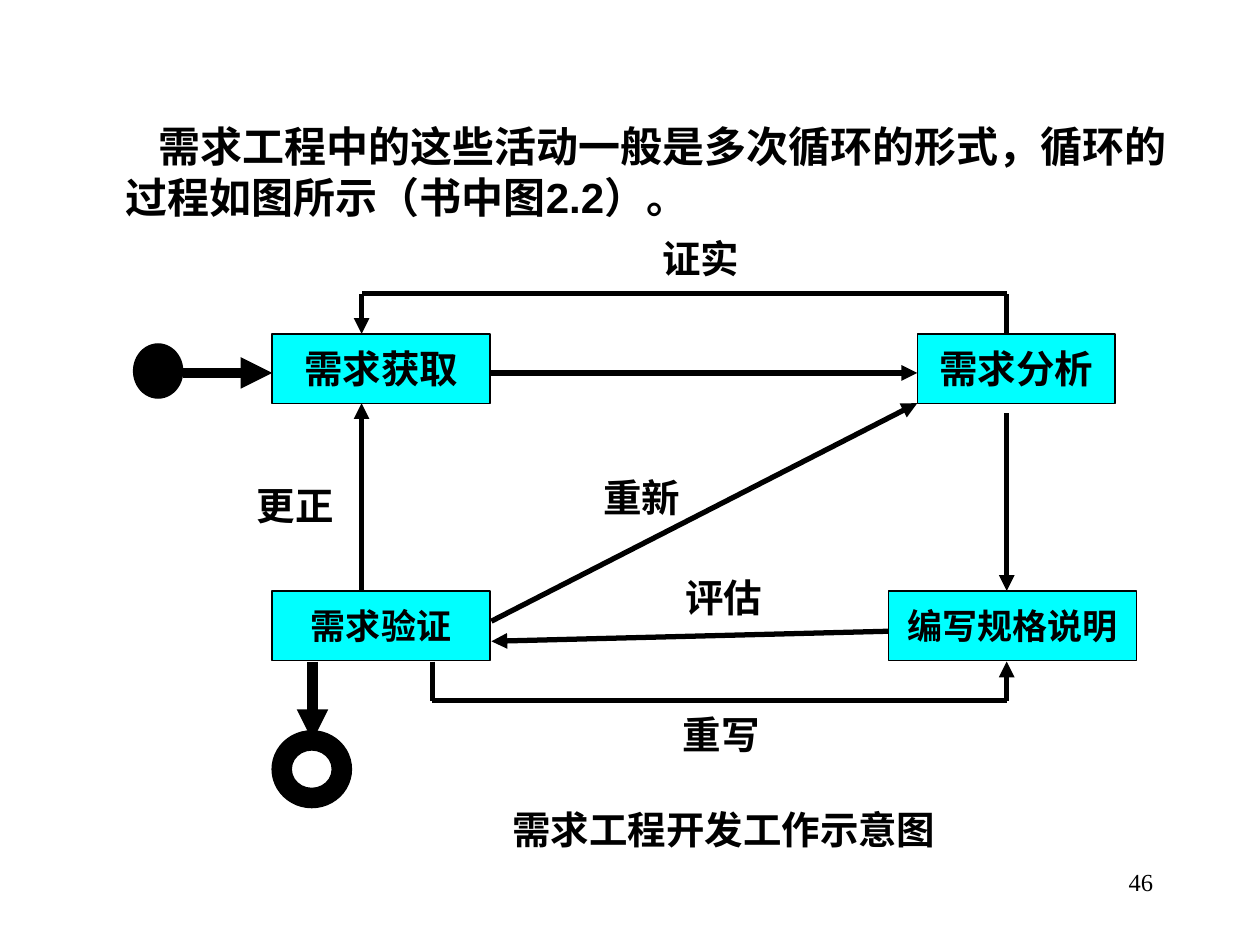
from pptx import Presentation
from pptx.dml.color import RGBColor
from pptx.enum.shapes import MSO_CONNECTOR as Connector, MSO_SHAPE as Shape
from pptx.enum.text import MSO_ANCHOR as Anchor, PP_ALIGN as Align
from pptx.oxml.ns import qn
from pptx.util import Inches, Pt
from lxml.etree import SubElement

BLACK = RGBColor(0x00, 0x00, 0x00)
CYAN = RGBColor(0x00, 0xFF, 0xFF)

# Shared coordinates of the state diagram, in inches
LEFT_X, RIGHT_X = 2.87, 7.99
BOX_LEFT, BOX_RIGHT, ANALYSIS_LEFT = 2.16, 3.9, 7.28
UPPER_TOP, UPPER_MIDDLE, UPPER_BOTTOM = 2.65, 2.96, 3.2
LOWER_TOP, LOWER_BOTTOM = 4.69, 5.25
CONFIRM_Y, REWRITE_Y, REWRITE_X, EXIT_X = 2.33, 5.56, 3.43, 2.48
BOX_HEIGHT, LABEL_HEIGHT = 0.55, 0.47


def write(frame, text, font="Times New Roman", size=22, bold=True,
          align=Align.LEFT, anchor=Anchor.TOP, wrap=False):
    frame.word_wrap = wrap
    frame.vertical_anchor = anchor
    para = frame.paragraphs[0]
    para.alignment = align
    span = para.add_run()
    span.text = text
    span.font.name = font
    span.font.size = Pt(size)
    span.font.bold = bold
    span.font.color.rgb = BLACK
    return para


class Diagram:
    """Holds the page and the line and fill style of its elements."""

    def __init__(self, page, ink=BLACK, fill=CYAN, outline=0.75):
        self.page = page
        self.ink = ink
        self.fill = fill
        self.outline = outline

    def shape(self, kind, left, top, width, height, fill):
        item = self.page.shapes.add_shape(
            kind, Inches(left), Inches(top), Inches(width), Inches(height))
        item.shadow.inherit = False
        item.fill.solid()
        item.fill.fore_color.rgb = fill
        item.line.color.rgb = self.ink
        item.line.width = Pt(self.outline)
        return item

    def activity(self, text, left, top, width, size):
        box = self.shape(Shape.RECTANGLE, left, top, width, BOX_HEIGHT, self.fill)
        write(box.text_frame, text, size=size, align=Align.CENTER, anchor=Anchor.MIDDLE)

    def text(self, text, left, top, width=0.81, height=LABEL_HEIGHT, **style):
        box = self.page.shapes.add_textbox(
            Inches(left), Inches(top), Inches(width), Inches(height))
        return write(box.text_frame, text, **style)

    def line(self, start, end, width=3, arrow=True):
        link = self.page.shapes.add_connector(
            Connector.STRAIGHT, *(Inches(value) for value in (*start, *end)))
        link.line.color.rgb = self.ink
        link.line.width = Pt(width)
        properties = link.element.spPr
        if arrow:
            SubElement(properties.find(qn("a:ln")), qn("a:tailEnd"), type="triangle")
        SubElement(properties, qn("a:effectLst"))

    def route(self, *points, arrow=True):
        """Join the points with straight lines; only the last may have an arrowhead."""
        last = len(points) - 2
        for index, (start, end) in enumerate(zip(points, points[1:])):
            self.line(start, end, arrow=arrow and index == last)


def main():
    deck = Presentation()
    deck.slide_width, deck.slide_height = Inches(10), Inches(7.5)
    diagram = Diagram(deck.slides.add_slide(deck.slide_layouts[6]))

    diagram.text("46", 7.17, 6.83, 2.08, 0.5, size=14, bold=False,
                 align=Align.RIGHT, wrap=True)
    intro = diagram.text(
        "需求工程中的这些活动一般是多次循环的形式，循环的过程如图所示（书中图2.2）。",
        0.52, 0.91, 8.98, 1.1, font="Arial", size=24, wrap=True)
    intro.space_before = Pt(4.8)
    indents = intro._p.get_or_add_pPr()
    indents.set("marL", str(Inches(0.38)))
    indents.set("indent", str(Inches(0.26)))

    for text, left, top, width, size in (
        ("需求获取", BOX_LEFT, UPPER_TOP, 1.73, 22),
        ("需求分析", ANALYSIS_LEFT, UPPER_TOP, 1.57, 22),
        ("编写规格说明", 7.05, LOWER_TOP, 1.97, 20),
        ("需求验证", BOX_LEFT, LOWER_TOP, 1.73, 20),
    ):
        diagram.activity(text, left, top, width, size)

    for start, end in (
        ((BOX_RIGHT, UPPER_MIDDLE), (ANALYSIS_LEFT, UPPER_MIDDLE)),
        ((BOX_RIGHT, 4.93), (ANALYSIS_LEFT, UPPER_BOTTOM)),
        ((7.05, 5.01), (BOX_RIGHT, 5.09)),
        ((RIGHT_X, 3.28), (RIGHT_X, LOWER_TOP)),
        ((LEFT_X, LOWER_TOP), (LEFT_X, UPPER_BOTTOM)),
    ):
        diagram.line(start, end)
    diagram.route((RIGHT_X, UPPER_TOP), (RIGHT_X, CONFIRM_Y),
                  (LEFT_X, CONFIRM_Y), (LEFT_X, UPPER_TOP))
    diagram.route((REWRITE_X, LOWER_BOTTOM), (REWRITE_X, REWRITE_Y),
                  (RIGHT_X, REWRITE_Y), (RIGHT_X, LOWER_BOTTOM))

    diagram.shape(Shape.OVAL, 1.06, 2.73, 0.39, 0.43, BLACK)
    diagram.line((1.45, UPPER_MIDDLE), (BOX_LEFT, UPPER_MIDDLE), width=6)
    end_ring = diagram.shape(Shape.DONUT, BOX_LEFT, 5.8, 0.63, 0.61, BLACK)
    end_ring.adjustments[0] = 0.25
    diagram.line((EXIT_X, LOWER_BOTTOM), (EXIT_X, 5.88), width=6)

    for text, left, top in (
        ("评估", 5.34, 4.51),
        ("重新", 4.69, 3.71),
        ("重写", 5.32, 5.59),
        ("更正", 1.94, 3.78),
    ):
        diagram.text(text, left, top)
    diagram.text("证实", 5.16, 1.82, 0.86, wrap=True)
    diagram.text("需求工程开发工作示意图", 3.97, 6.35, 3.56)

    deck.save("out.pptx")


if __name__ == "__main__":
    main()
